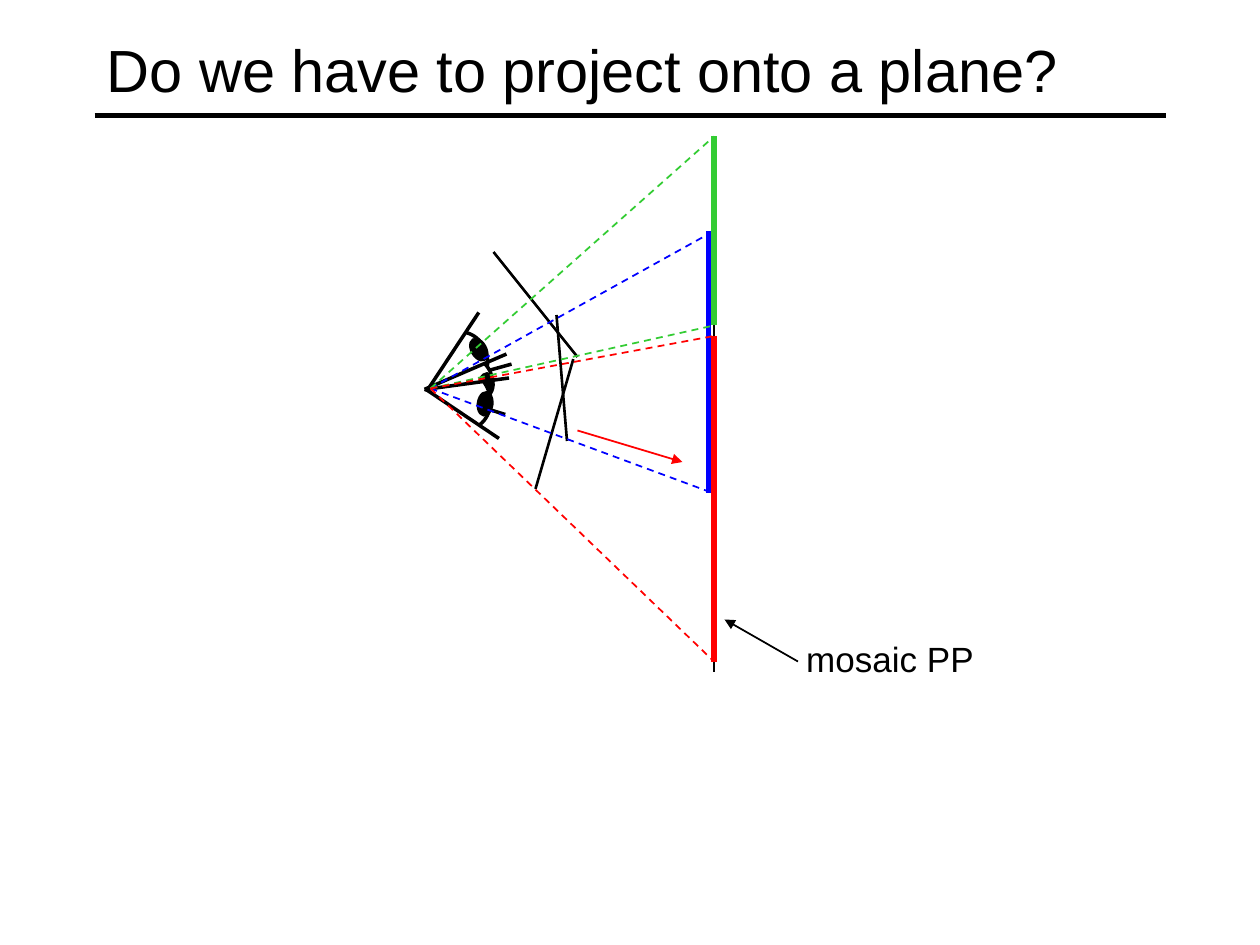
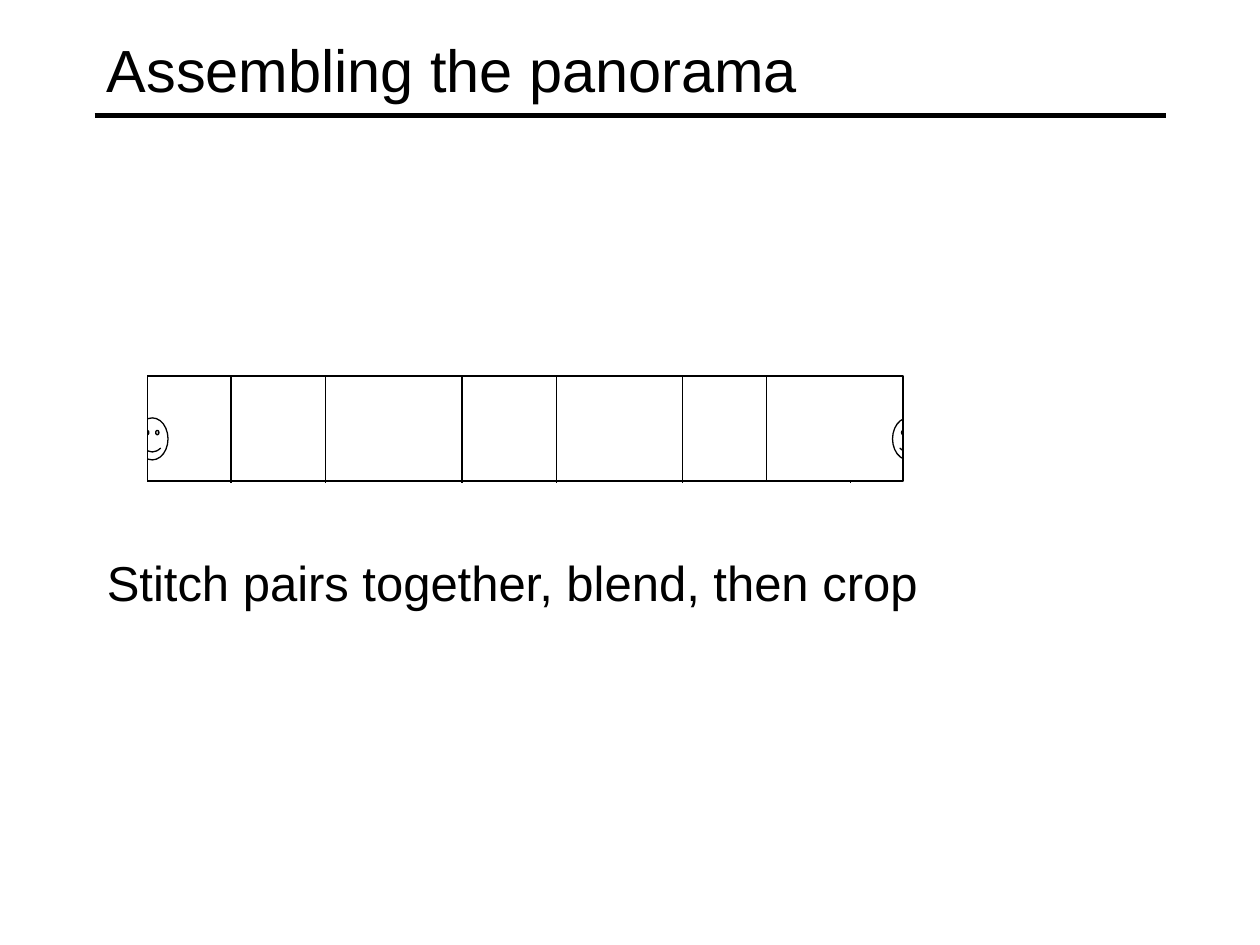
"""Build two slides on panoramas: projecting onto a plane and assembling the frames."""
from lxml.etree import SubElement
from pptx import Presentation
from pptx.dml.color import RGBColor
from pptx.enum.dml import MSO_LINE_DASH_STYLE as Dash
from pptx.enum.shapes import MSO_CONNECTOR as Connector, MSO_SHAPE as Shape
from pptx.enum.text import MSO_ANCHOR as Anchor
from pptx.oxml.ns import qn
from pptx.util import Inches, Pt

BLACK, WHITE, BLUE, GREEN, RED = "000000", "FFFFFF", "0000FF", "33CC33", "FF0000"
COLUMNS = 120

presentation = Presentation()
presentation.slide_width, presentation.slide_height = Inches(10), Inches(7.5)
UNIT = presentation.slide_width // COLUMNS


def paint(fill, color):
    """Fill with a hex colour, or clear the fill when there is none."""
    if color is None:
        fill.background()
    else:
        fill.solid()
        fill.fore_color.rgb = RGBColor.from_string(color)


def draw_line(slide, start, end, color=BLACK, width=1, dash=None, arrow=False):
    """Draw a straight line between two grid points."""
    ends = [round(value * UNIT) for value in (*start, *end)]
    connector = slide.shapes.add_connector(Connector.STRAIGHT, *ends)
    paint(connector.line.fill, color)
    for name, value in {"width": Pt(width), "dash_style": dash}.items():
        setattr(connector.line, name, value)
    properties = connector._element.spPr
    if arrow:
        SubElement(properties.find(qn("a:ln")), qn("a:tailEnd"), type="triangle")
    SubElement(properties, qn("a:effectLst"))


projection = presentation.slides.add_slide(presentation.slide_layouts[6])
assembly = presentation.slides.add_slide(presentation.slide_layouts[6])
for slide in (projection, assembly):
    draw_line(slide, (9, 11), (111, 11), width=3)

texts = [
    (projection, "Do we have to project onto a plane?", (9, 1, 102, 11), 34, Anchor.MIDDLE, True),
    (projection, "mosaic PP", (75.6, 60.1, 18.4, 5.3), 20, Anchor.TOP, False),
    (assembly, "Assembling the panorama", (9, 1, 102, 11), 34, Anchor.MIDDLE, True),
]

PLANE = 68
draw_line(projection, (PLANE, 13), (PLANE, 64), width=1.5)
draw_line(projection, (76, 63), (69, 59), arrow=True)

eyes = [
    {"apex": (40.92, 36.84), "lids": [(45.6, 29.76), (48.72, 34.68)],
     "curve": [(44.4, 31.68), (45.84, 32.04), (46.8, 33.72), (46.32, 35.28)],
     "pupil": (44.88, 32.16), "turn": 330.3, "frame": [(47, 24), (55, 34)]},
    {"apex": (40.44, 37.08), "lids": [(48.24, 33.72), (48.12, 39.48)],
     "curve": [(46.2, 34.68), (47.28, 35.76), (47.04, 37.56), (45.84, 38.76)],
     "pupil": (45.6, 35.52), "turn": 3.4, "frame": [(53, 30), (54, 42)]},
    {"apex": (40.56, 37.08), "lids": [(47.52, 41.76), (48.48, 36)],
     "curve": [(45.72, 40.44), (46.92, 39.48), (47.04, 37.68), (46.08, 36.36)],
     "pupil": (45.48, 37.32), "turn": 7.2, "frame": [(51, 46.56), (54.6, 34.2)]},
]
STEPS = 16
for eye in eyes:
    arc = []
    for step in range(STEPS + 1):
        t = step / STEPS
        weights = ((1 - t) ** 3, 3 * t * (1 - t) ** 2, 3 * t ** 2 * (1 - t), t ** 3)
        arc.append([round(UNIT * sum(w * point[axis] for w, point in zip(weights, eye["curve"])))
                    for axis in (0, 1)])
    apex = [round(value * UNIT) for value in eye["apex"]]
    for outline, closed, fill, line in (([apex, *arc], True, WHITE, None), (arc, False, None, BLACK)):
        builder = projection.shapes.build_freeform(*outline[0])
        builder.add_line_segments(outline[1:], close=closed)
        shape = builder.convert_to_shape()
        shape.shadow.inherit = False
        paint(shape.fill, fill)
        shape.line.width = Pt(2)
        paint(shape.line.fill, line)
    for lid in eye["lids"]:
        draw_line(projection, eye["apex"], lid, width=2)
    box = [round(value * UNIT) for value in (*eye["pupil"], 1.44, 2.28)]
    pupil = projection.shapes.add_shape(Shape.OVAL, *box)
    pupil.shadow.inherit = False
    pupil.rotation = eye["turn"]
    pupil.line.width = Pt(1)
    for fill in (pupil.fill, pupil.line.fill):
        paint(fill, BLACK)
    draw_line(projection, *eye["frame"], width=1.5)

for color, column, top, bottom in ((BLUE, 67.5, 22, 47), (GREEN, PLANE, 13, 31), (RED, PLANE, 32, 63)):
    for row in (top, bottom):
        draw_line(projection, (41, 37), (PLANE, row), color, dash=Dash.DASH)
    draw_line(projection, (column, top), (column, bottom), color, width=3)
draw_line(projection, (55, 41), (65, 44), RED, arrow=True)

frames = [(column, 34.8 + index % 2, 16, 13) for index, column in enumerate((12, 22, 31, 44, 53, 65))]
frames.append((73, 32.75, 16, 13))
faces = [(column, 39.8, 3, 4) for column in (13, 85)]
crop = (14, 35.8, 72, 10)
masks = [(10, 34.8, 4, 13), (11, 31.7, 79, 4), (11, 46, 79, 4)]
layers = [
    (Shape.RECTANGLE, frames, WHITE, BLACK),
    (Shape.SMILEY_FACE, faces, WHITE, BLACK),
    (Shape.RECTANGLE, [(86, 35.4, 4, 12.5)], WHITE, None),
    (Shape.RECTANGLE, [crop], None, BLACK),
    (Shape.RECTANGLE, masks, WHITE, None),
]
for kind, boxes, fill, line in layers:
    for box in boxes:
        shape = assembly.shapes.add_shape(kind, *[round(value * UNIT) for value in box])
        shape.shadow.inherit = False
        paint(shape.fill, fill)
        shape.line.width = Pt(0.75)
        paint(shape.line.fill, line)

texts.append((assembly, "Stitch pairs together, blend, then crop", (9, 52, 105, 19), 28, Anchor.TOP, True))
for slide, text, box, size, anchor, wrap in texts:
    frame = slide.shapes.add_textbox(*[round(value * UNIT) for value in box]).text_frame
    for name, value in {"word_wrap": wrap, "vertical_anchor": anchor}.items():
        setattr(frame, name, value)
    run = frame.paragraphs[0].add_run()
    run.text = text
    for name, value in {"name": "Arial", "size": Pt(size)}.items():
        setattr(run.font, name, value)
    paint(run.font.fill, BLACK)

presentation.save("out.pptx")
